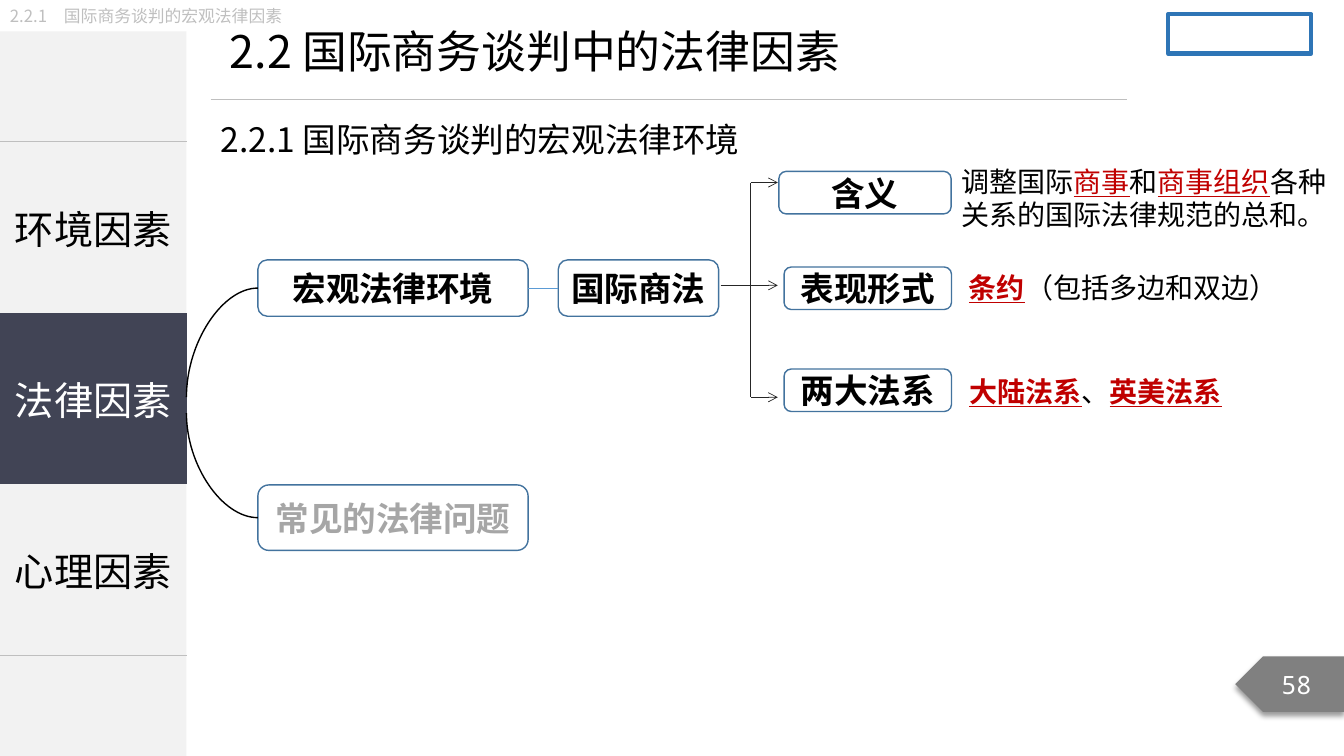
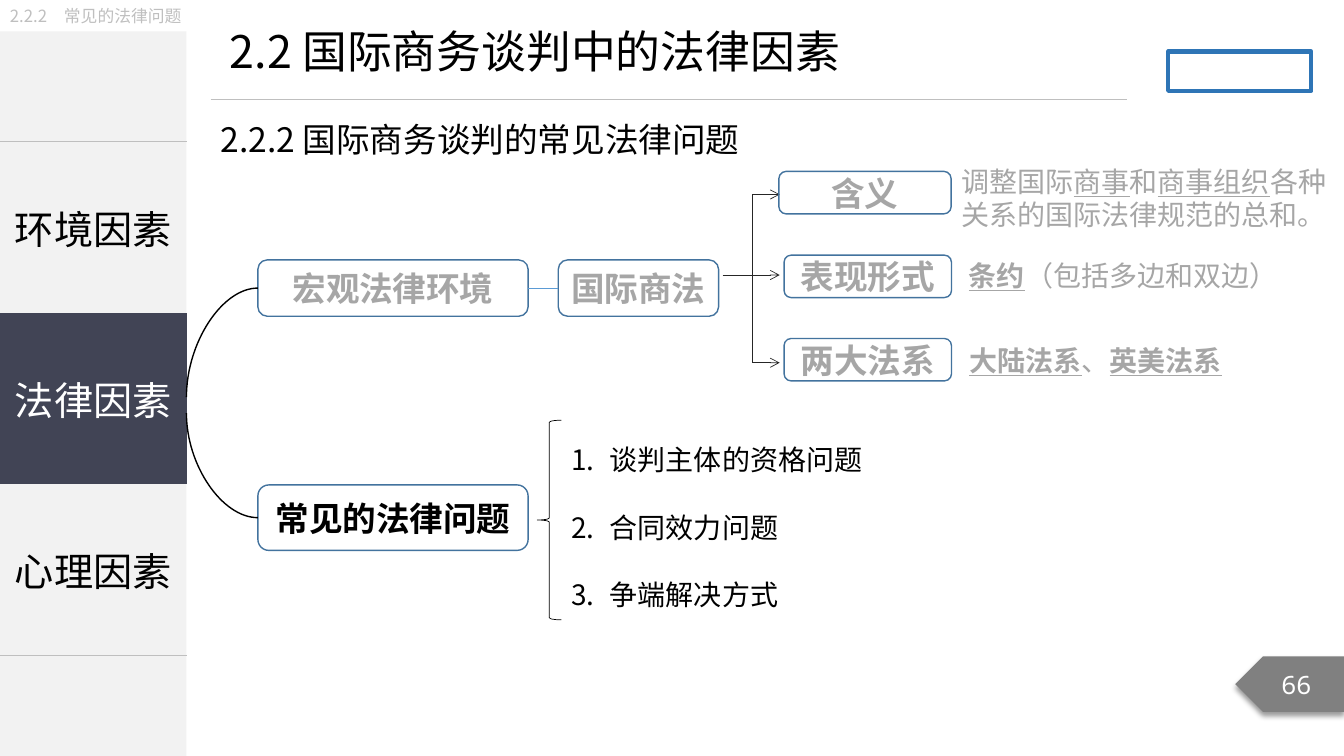
from lxml.etree import SubElement
from pptx import Presentation
from pptx.dml.color import RGBColor
from pptx.enum.shapes import MSO_CONNECTOR, MSO_SHAPE
from pptx.enum.text import MSO_ANCHOR, PP_ALIGN
from pptx.oxml import parse_xml
from pptx.oxml.ns import nsdecls, qn
from pptx.util import Cm, Pt

SANS, MONO = "Noto Sans CJK SC", "Noto Sans Mono"
BLACK, WHITE, RED = "000000", "FFFFFF", "C00000"
PALE, DIM, DARK = "F2F2F2", "A6A6A6", "414455"
RULE, TAG, EDGE = "BFBFBF", "808080", "43739E"
LINK, BRANCH, FRAME = "5B9BD5", "262626", "2E75B6"
NO_STYLE = "{2D5ABB26-0587-4C30-8999-92F81FD0307C}"

SIDE_W = 4.7
TOPICS = ["环境因素", "法律因素", "心理因素"]
ACTIVE = 1
TITLE = "2.2 国际商务谈判中的法律因素"
BRANCHES = ["含义", "表现形式", "两大法系"]
# Each run is its text and its marks: k key word, b bold
NOTES = [
    [("调整国际", ""), ("商事", "k"), ("和", ""), ("商事组织", "k"),
     ("各种关系的国际法律规范的总和。", "")],
    [("条约", "kb"), ("（包括多边和双边）", "")],
    [("大陆法系", "kb"), ("、", ""), ("英美法系", "kb")],
]
ISSUES = ["谈判主体的资格问题", "合同效力问题", "争端解决方式"]


def color(code):
    return RGBColor.from_string(code)


def cms(*sizes):
    return [Cm(size) for size in sizes]


def add_run(para, text, size, code=BLACK, face=SANS, bold=False, line=False):
    run = para.add_run()
    run.text = text
    font = run.font
    font.size, font.bold, font.underline = Pt(size), bold, line
    font.color.rgb = color(code)
    font.name = face
    SubElement(run._r.get_or_add_rPr(), qn("a:ea"), typeface=face)
    return run


def add_shape(slide, kind, place, fill=None, edge=None, width=1):
    shape = slide.shapes.add_shape(kind, *cms(*place))
    shape.shadow.inherit = False
    if fill:
        shape.fill.solid()
        shape.fill.fore_color.rgb = color(fill)
    else:
        shape.fill.background()
    if edge:
        shape.line.color.rgb = color(edge)
        shape.line.width = Pt(width)
    else:
        shape.line.fill.background()
    return shape


def center(shape):
    """Centre the text of a shape and return its first paragraph."""
    frame = shape.text_frame
    frame.vertical_anchor = MSO_ANCHOR.MIDDLE
    frame.margin_left = frame.margin_right = 0
    frame.margin_top = frame.margin_bottom = 0
    para = frame.paragraphs[0]
    para.alignment = PP_ALIGN.CENTER
    return para


def add_node(slide, text, place, code):
    node = add_shape(slide, MSO_SHAPE.ROUNDED_RECTANGLE, place, edge=EDGE)
    run = add_run(center(node), text, 24, code, bold=True)
    run._r.get_or_add_rPr().set("spc", "-10")
    return node


def add_text(slide, place, wrap=True):
    """Add an empty text box and return its frame."""
    frame = slide.shapes.add_textbox(*cms(*place)).text_frame
    frame.word_wrap = wrap
    return frame


def add_line(slide, start, end, code, width=0.5, kind=MSO_CONNECTOR.STRAIGHT,
             arrow=False):
    line = slide.shapes.add_connector(kind, *cms(*start, *end))
    line.line.color.rgb = color(code)
    line.line.width = Pt(width)
    if arrow:
        SubElement(line.line._get_or_add_ln(), qn("a:tailEnd"), type="arrow")
    SubElement(line._element.spPr, qn("a:effectLst"))
    return line


def add_curve(slide, node, start, end):
    """Curve from the left side of a node to the side bar."""
    curve = add_line(slide, start, end, BLACK, 1, MSO_CONNECTOR.CURVE)
    curve._element.spPr.find(qn("a:prstGeom")).set("prst", "curvedConnector2")
    curve.begin_connect(node, 1)


def set_border(cell, side):
    cell._tc.get_or_add_tcPr().insert(0, parse_xml(
        f'<a:{side} {nsdecls("a")} w="{Pt(1)}"><a:solidFill>'
        f'<a:srgbClr val="{RULE}"/></a:solidFill></a:{side}>'))


def add_menu(slide):
    add_shape(slide, MSO_SHAPE.RECTANGLE, (0, 0.79, SIDE_W, 18.26), PALE)
    count = len(TOPICS)
    place = cms(0, 3.56, SIDE_W, 4.32 * count)
    table = slide.shapes.add_table(count, 1, *place).table
    table.first_row = table.horz_banding = False
    table._tbl.tblPr.find(qn("a:tableStyleId")).text = NO_STYLE
    for row, topic in enumerate(TOPICS):
        cell = table.cell(row, 0)
        cell.vertical_anchor = MSO_ANCHOR.MIDDLE
        para = cell.text_frame.paragraphs[0]
        para.alignment = PP_ALIGN.CENTER
        if row == ACTIVE:
            cell.fill.solid()
            cell.fill.fore_color.rgb = color(DARK)
        else:
            cell.fill.background()
        add_run(para, topic, 28, WHITE if row == ACTIVE else BLACK)
    set_border(table.cell(0, 0), "lnT")
    set_border(table.cell(count - 1, 0), "lnB")


def add_page(slide, number):
    tag = add_shape(slide, MSO_SHAPE.PENTAGON, (31.13, 16.54, 2.74, 1.4), TAG)
    props = tag._element.spPr
    props.find(qn("a:xfrm")).set("flipH", "1")
    shade = SubElement(props.find(qn("a:effectLst")), qn("a:outerShdw"),
                       blurRad=str(Pt(4)), dist=str(Pt(3)), dir="5400000",
                       algn="t", rotWithShape="0")
    tint = SubElement(shade, qn("a:srgbClr"), val=BLACK)
    SubElement(tint, qn("a:alpha"), val="40000")
    add_run(center(tag), number, 18, WHITE, MONO)


def add_title(slide):
    title = slide.shapes.title
    title.left, title.top, title.width, title.height = cms(
        5.54, 0.48, 16.46, 1.63)
    frame = title.text_frame
    frame.word_wrap = False
    frame.vertical_anchor = MSO_ANCHOR.TOP
    para = frame.paragraphs[0]
    para.alignment = PP_ALIGN.LEFT
    add_run(para, TITLE, 32)
    add_line(slide, (5.31, 2.51), (28.4, 2.51), RULE)


def add_frame(slide, crumb, head, number, logo_y):
    """Add what all slides share."""
    add_menu(slide)
    add_title(slide)
    sub = add_text(slide, (5.31, 2.87, 14.2, 1.27), wrap=False)
    add_run(sub.paragraphs[0], head, 24)
    trail = add_text(slide, (0, 0.03, 8.1, 0.76))
    add_run(trail.paragraphs[0], crumb, 12, RULE)
    add_page(slide, number)
    add_shape(slide, MSO_SHAPE.RECTANGLE, (29.44, logo_y, 3.61, 0.99),
              edge=FRAME, width=3)


def add_tree(slide, law, issue):
    """Draw the main nodes in the two given text colours."""
    macro = add_node(slide, "宏观法律环境", (6.5, 6.55, 6.81, 1.42), law)
    trade = add_node(slide, "国际商法", (14.07, 6.55, 4.04, 1.42), law)
    common = add_node(slide, "常见的法律问题", (6.5, 12.22, 6.81, 1.65), issue)
    add_curve(slide, macro, (6.5, 7.26), (SIDE_W, 10.01))
    add_curve(slide, common, (6.5, 13.05), (SIDE_W, 10.41))
    link = add_line(slide, (13.31, 7.26), (14.07, 7.26), LINK)
    link.begin_connect(macro, 3)
    link.end_connect(trade, 1)


def add_fork(slide, trunk, levels):
    first, mid, last = levels
    add_line(slide, (trunk, first), (trunk, last), BRANCH)
    add_line(slide, (trunk - 0.76, mid), (trunk, mid), BRANCH)
    for level in levels:
        add_line(slide, (trunk, level), (trunk + 0.68, level), BRANCH,
                 arrow=True)


def add_branches(slide, tops, code, key):
    lefts, widths = (19.63, 19.76, 19.76), (4.34, 4.22, 4.22)
    for text, left, top, width in zip(BRANCHES, lefts, tops, widths):
        add_node(slide, text, (left, top, width, 1.07), code)
    places = [(23.98, tops[0] - 0.31, 9.88, 1.96),
              (24.17, tops[1] - 0.05, 9.7, 1.12),
              (24.18, tops[2], 6.96, 1.12)]
    for runs, place in zip(NOTES, places):
        para = add_text(slide, place).paragraphs[0]
        for text, marks in runs:
            mark = "k" in marks
            add_run(para, text, 20, key if mark else code,
                    bold="b" in marks, line=mark)


def add_issues(slide):
    add_shape(slide, MSO_SHAPE.LEFT_BRACE, (13.54, 10.59, 0.61, 5.03),
              edge=BLACK, width=0.5)
    frame = add_text(slide, (14.15, 10.19, 8.43, 5.38))
    for spot, issue in enumerate(ISSUES):
        para = frame.add_paragraph() if spot else frame.paragraphs[0]
        para.line_spacing = 2.0
        props = para._p.get_or_add_pPr()
        props.set("marL", str(Cm(0.97)))
        props.set("indent", str(-Cm(0.97)))
        SubElement(props, qn("a:buAutoNum"), type="arabicPeriod")
        add_run(para, issue, 20)


def main():
    deck = Presentation()
    deck.slide_width, deck.slide_height = cms(33.87, 19.05)
    layout = deck.slide_layouts[5]

    macro = deck.slides.add_slide(layout)
    add_frame(macro, "2.2.1　国际商务谈判的宏观法律因素",
              "2.2.1 国际商务谈判的宏观法律环境", "58", 0.36)
    add_tree(macro, BLACK, DIM)
    add_fork(macro, 18.92, (4.6, 7.19, 10.01))
    add_branches(macro, (4.32, 6.73, 9.3), BLACK, RED)

    common = deck.slides.add_slide(layout)
    add_frame(common, "2.2.2　常见的法律问题",
              "2.2.2 国际商务谈判的常见法律问题", "66", 1.3)
    add_tree(common, DIM, BLACK)
    add_fork(common, 18.97, (4.9, 6.93, 9.14))
    add_branches(common, (4.32, 6.43, 8.53), DIM, DIM)
    add_issues(common)

    deck.save("out.pptx")


if __name__ == "__main__":
    main()
